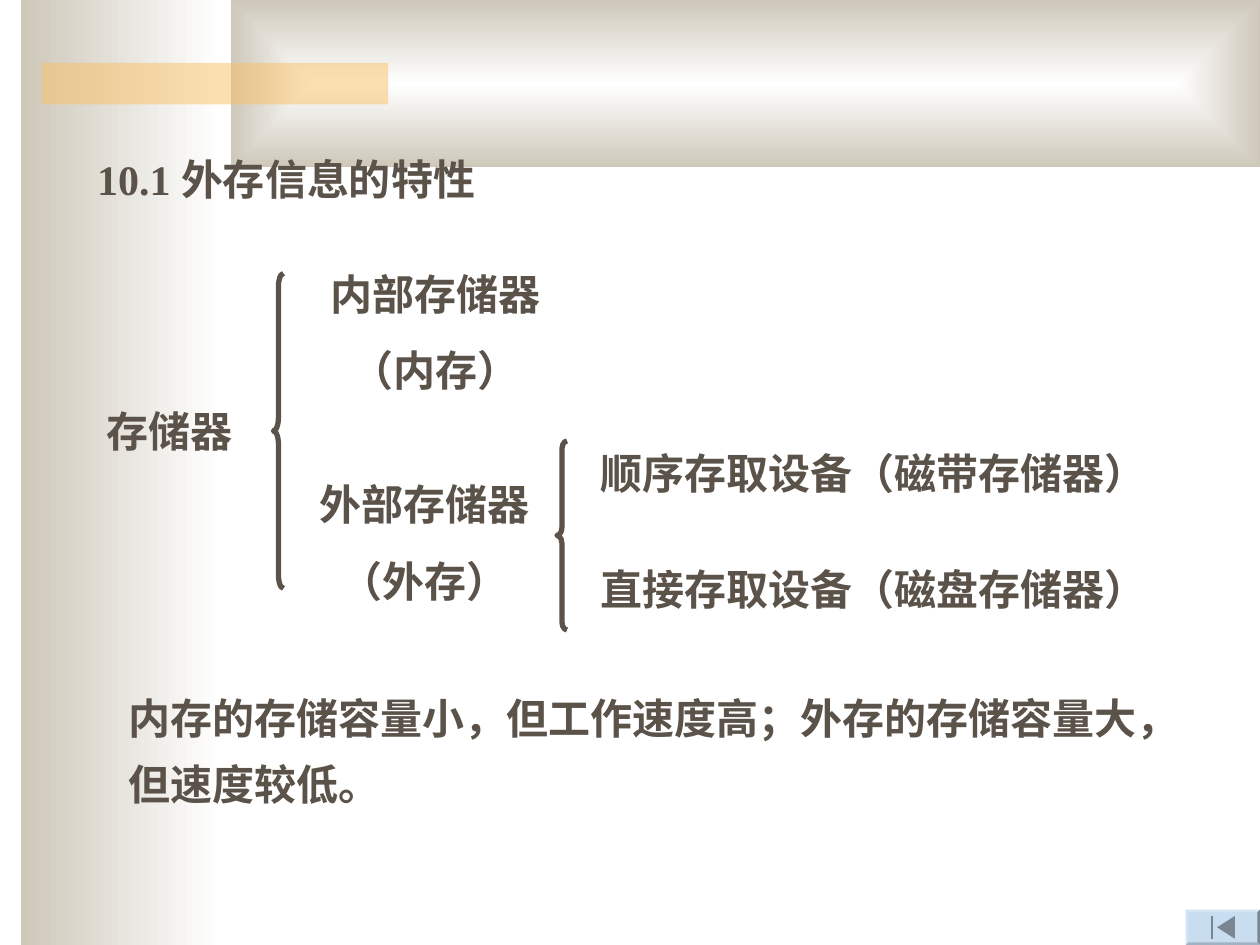
from lxml import etree
from pptx import Presentation
from pptx.dml.color import RGBColor as RGB
from pptx.enum.shapes import MSO_SHAPE as SHAPE
from pptx.enum.text import MSO_ANCHOR as ANCHOR, MSO_AUTO_SIZE as AUTO, PP_ALIGN as ALIGN
from pptx.oxml.ns import qn
from pptx.util import Inches, Pt

THEME = {
    "font": "Times New Roman", "size": 24, "gap": 15, "line": 3,
    "text": "5B5249", "light": "FFFFFF", "sand": "CEC8BA", "accent": "FAC164",
    "face": "C9DDF1", "bright": "D4E4F4", "shade": "A1B1C1", "dark": "798591",
}

TITLE = ("10.1 外存信息的特性", (0.67, 1.17, 8.75, 0.5))
LABELS = [
    (["存储器"], (0.75, 3.17, 1.25, 0.5), ALIGN.LEFT, 1),
    (["内部存储器", "（内存）"], (2.42, 2.08, 2.08, 1.11), ALIGN.CENTER, 1),
    (["外部存储器", "（外存）"], (2.33, 3.75, 2.08, 1.11), ALIGN.CENTER, 1),
    (["顺序存取设备（磁带存储器）"], (4.67, 3.5, 4.75, 0.5), ALIGN.LEFT, 1),
    (["直接存取设备（磁盘存储器）"], (4.67, 4.42, 4.75, 0.5), ALIGN.LEFT, 1),
    (["内存的存储容量小，但工作速度高；外存的存储容量大，但速度较低。"],
     (0.92, 5.33, 8.42, 1.14), ALIGN.LEFT, 1.3),
]
BRACES = [(2.17, 2.17, 0.08, 2.5), (4.42, 3.5, 0.08, 1.5)]
SIDE_BAND = (0.17, 0, 1.58, 7.5)
TOP_BAND = (1.83, 0, 8.17, 1.33)
ACCENT_BAR = (0.33, 0.5, 2.75, 0.33)
BUTTON = (9.41, 7.22, 10, 7.5)
BEVEL = 0.02
ICON = [
    [(9.66, 7.36), (9.8, 7.27), (9.8, 7.45)],
    [(9.61, 7.27), (9.63, 7.27), (9.63, 7.45), (9.61, 7.45)],
]


def color(name):
    return RGB.from_string(THEME[name])


def inches(box):
    return [Inches(v) for v in box]


def add_shape(s, kind, box):
    sp = s.shapes.add_shape(kind, *inches(box))
    sp.shadow.inherit = False
    sp.line.fill.background()
    return sp


def add_band(s, box):
    sp = add_shape(s, SHAPE.RECTANGLE, box)
    sp.fill.gradient()
    sp.fill.gradient_angle = 180
    for stop, pos, name in zip(sp.fill.gradient_stops, (0, 1), ("light", "sand")):
        stop.position = pos
        stop.color.rgb = color(name)
    return sp


def make_rectangular(sp):
    lin = sp._element.spPr.find(qn("a:gradFill")).find(qn("a:lin"))
    route = etree.Element(qn("a:path"), {"path": "rect"})
    etree.SubElement(route, qn("a:fillToRect"), dict.fromkeys("ltrb", "50000"))
    lin.getparent().replace(lin, route)


def add_accent(s):
    sp = add_shape(s, SHAPE.RECTANGLE, ACCENT_BAR)
    sp.fill.solid()
    sp.fill.fore_color.rgb = color("accent")
    clr = sp._element.spPr.find(qn("a:solidFill"))[0]
    etree.SubElement(clr, qn("a:alpha"), {"val": "50000"})


def add_polygon(s, points, name):
    start, *rest = [tuple(inches(pt)) for pt in points]
    builder = s.shapes.build_freeform(*start)
    builder.add_line_segments(rest, close=True)
    sp = builder.convert_to_shape()
    sp.shadow.inherit = False
    sp.fill.solid()
    sp.fill.fore_color.rgb = color(name)
    sp.line.fill.background()


def add_button(s):
    l, t, r, b = BUTTON
    outer = [(l, t), (r, t), (r, b), (l, b)]
    l, t, r, b = l + BEVEL, t + BEVEL, r - BEVEL, b - BEVEL
    inner = [(l, t), (r, t), (r, b), (l, b)]
    add_polygon(s, outer, "face")
    for i, name in enumerate(("bright", "dark", "shade", "bright")):
        j = (i + 1) % 4
        add_polygon(s, [outer[i], outer[j], inner[j], inner[i]], name)
    for points in ICON:
        add_polygon(s, points, "dark")


def add_brace(s, box):
    sp = add_shape(s, SHAPE.LEFT_BRACE, box)
    sp.fill.background()
    sp.line.color.rgb = color("text")
    sp.line.width = Pt(THEME["line"])
    sp.adjustments[0] = box[3] / 24 / box[2]


def write(sp, lines, box, align=ALIGN.LEFT, spacing=1):
    sp.left, sp.top, sp.width, sp.height = inches(box)
    tf = sp.text_frame
    tf.text = "\n".join(lines)
    tf.word_wrap = True
    tf.auto_size = AUTO.SHAPE_TO_FIT_TEXT
    tf.vertical_anchor = ANCHOR.TOP
    for i, p in enumerate(tf.paragraphs):
        p.alignment = align
        p.line_spacing = spacing
        p.space_before = Pt(THEME["gap"] if i else 0)
        for r in p.runs:
            r.font.name = THEME["font"]
            r.font.size = Pt(THEME["size"])
            r.font.bold = True
            r.font.color.rgb = color("text")


def main():
    prs = Presentation()
    prs.slide_width, prs.slide_height = Inches(10), Inches(7.5)
    s = prs.slides.add_slide(prs.slide_layouts[5])
    add_band(s, SIDE_BAND)
    make_rectangular(add_band(s, TOP_BAND))
    add_accent(s)
    add_button(s)
    title = s.shapes.title
    s.shapes._spTree.append(title._element)
    write(title, [TITLE[0]], TITLE[1])
    for box in BRACES:
        add_brace(s, box)
    for lines, box, align, spacing in LABELS:
        write(s.shapes.add_textbox(*inches(box)), lines, box, align, spacing)
    prs.save("out.pptx")


if __name__ == "__main__":
    main()
